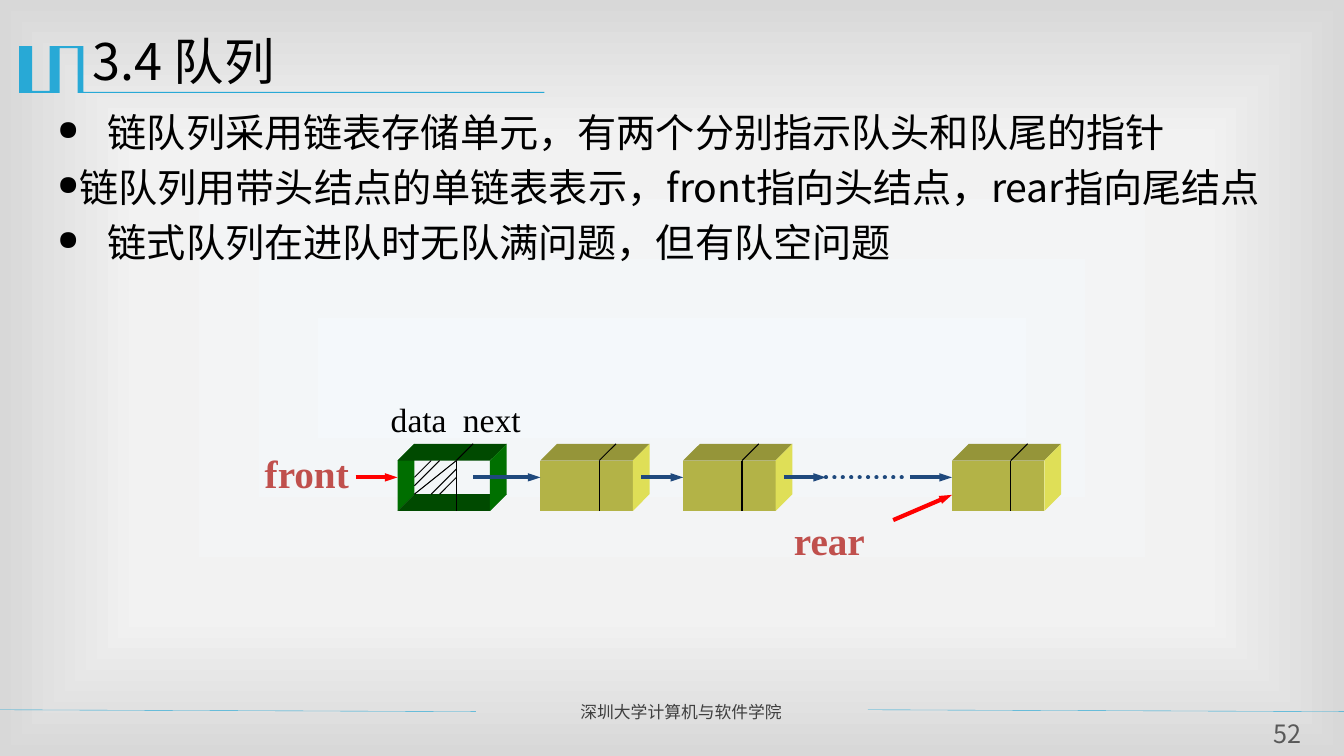
from lxml.etree import SubElement
from pptx import Presentation
from pptx.dml.color import RGBColor
from pptx.enum.dml import MSO_LINE
from pptx.enum.shapes import MSO_CONNECTOR
from pptx.enum.text import MSO_ANCHOR, MSO_AUTO_SIZE, PP_ALIGN
from pptx.oxml import parse_xml
from pptx.oxml.ns import nsdecls, qn
from pptx.util import Pt

SANS, SERIF = "Noto Sans CJK SC", "Times New Roman"
BLACK, CYAN, RED, NAVY, LABEL_RED = "000000", "28A9D6", "FF0000", "1F497D", "C0504D"
NODE_LEFTS = [284, 386, 488, 680]
NODE_TOP, NODE_WIDTH, NODE_HEIGHT, DEPTH, DIVIDER = 329, 66, 36, 12, 42
ARROW_Y = NODE_TOP + DEPTH
BULLETS = [
    ("链队列采用链表存储单元，有两个分别指示队头和队尾的指针", 36),
    ("链队列用带头结点的单链表表示，front指向头结点，rear指向尾结点", 0),
    ("链式队列在进队时无队满问题，但有队空问题", 36),
]


def color(value):
    """Turn a hex string into a colour."""
    return RGBColor.from_string(value)


def paint_background(slide):
    """Fill the slide with a rectangular gradient."""
    fill = slide.background.fill
    fill.solid()
    solid = slide._element.find(".//" + qn("a:solidFill"))
    stops = "".join(
        f'<a:gs pos="{position}000"><a:srgbClr val="{value}"/></a:gs>'
        for position, value in [(0, "F4F8FB"), (63, "F2F2F2"), (100, "D8D8D8")]
    )
    gradient = parse_xml(
        f'<a:gradFill {nsdecls("a")} rotWithShape="1"><a:gsLst>{stops}</a:gsLst>'
        '<a:path path="rect"><a:fillToRect l="50000" t="50000" r="50000" b="50000"/>'
        "</a:path></a:gradFill>"
    )
    solid.getparent().replace(solid, gradient)


def style_paragraph(paragraph, size, value, name=SANS, bold=False):
    """Set the font of a whole paragraph."""
    font = paragraph.font
    font.size, font.name, font.bold = Pt(size), name, bold
    font.color.rgb = color(value)
    properties = paragraph._p.pPr.find(qn("a:defRPr"))
    SubElement(properties, qn("a:ea"), typeface=name)


def add_text(slide, box, text, size, value, name=SANS, bold=False,
             anchor=MSO_ANCHOR.TOP, tab=None, align=PP_ALIGN.LEFT):
    """Add a one-paragraph text box."""
    frame = slide.shapes.add_textbox(*map(Pt, box)).text_frame
    frame.word_wrap, frame.vertical_anchor = True, anchor
    paragraph = frame.paragraphs[0]
    paragraph.text, paragraph.alignment = text, align
    if tab:
        tabs = SubElement(paragraph._p.get_or_add_pPr(), qn("a:tabLst"))
        SubElement(tabs, qn("a:tab"), pos=str(Pt(tab)), algn="l")
    style_paragraph(paragraph, size, value, name, bold)


def add_title(slide, text):
    """Place and format the title placeholder."""
    title = slide.shapes.title
    title.left, title.top, title.width, title.height = map(Pt, (59, 15.8, 864, 62.6))
    frame = title.text_frame
    frame.text = text
    frame.word_wrap, frame.vertical_anchor = True, MSO_ANCHOR.TOP
    frame.auto_size = MSO_AUTO_SIZE.NONE
    paragraph = frame.paragraphs[0]
    paragraph.alignment, paragraph.line_spacing = PP_ALIGN.LEFT, Pt(45)
    style_paragraph(paragraph, 36, BLACK)


def add_bullets(slide, items):
    """Add the bulleted statements, each with its own hanging indent."""
    frame = slide.shapes.add_textbox(Pt(34), Pt(73.5), Pt(873), Pt(405)).text_frame
    frame.word_wrap = True
    for index, (text, hanging) in enumerate(items):
        paragraph = frame.add_paragraph() if index else frame.paragraphs[0]
        paragraph.text = text
        paragraph.line_spacing = Pt(34.2)
        paragraph.space_before = Pt(5 if index else 0)
        properties = paragraph._p.get_or_add_pPr()
        properties.set("marL", str(Pt(hanging)))
        properties.set("indent", str(Pt(-hanging)))
        SubElement(properties, qn("a:buSzPct"), val="70000")
        SubElement(properties, qn("a:buChar"), char="●")
        style_paragraph(paragraph, 28, BLACK)


def add_polygon(slide, points, value):
    """Add a filled outline without a border."""
    start, *others = [(Pt(x), Pt(y)) for x, y in points]
    builder = slide.shapes.build_freeform(*start, scale=1.0)
    builder.add_line_segments(others, close=True)
    shape = builder.convert_to_shape()
    shape.shadow.inherit = False
    shape.fill.solid()
    shape.fill.fore_color.rgb = color(value)
    shape.line.fill.background()


def add_line(slide, start, end, value=BLACK, width=0.75, arrow=False, dotted=False):
    """Add a straight line, with an arrowhead or round dots if asked."""
    connector = slide.shapes.add_connector(
        MSO_CONNECTOR.STRAIGHT, *map(Pt, (*start, *end)))
    connector.line.color.rgb = color(value)
    connector.line.width = Pt(width)
    outline = connector.line._get_or_add_ln()
    if dotted:
        connector.line.dash_style = MSO_LINE.ROUND_DOT
        outline.set("cap", "rnd")
    if arrow:
        SubElement(outline, qn("a:tailEnd"), type="triangle", w="sm", len="med")
    SubElement(connector._element.spPr, qn("a:effectLst"))


def add_node(slide, left, hollow=False):
    """Add a box node with depth and the line between its two fields."""
    right, bottom = left + NODE_WIDTH, NODE_TOP + NODE_HEIGHT
    front = [(left, NODE_TOP), (right, NODE_TOP), (right, bottom), (left, bottom)]
    back = [(x + DEPTH, y - DEPTH) for x, y in front]

    def wall(first, second):
        return [front[first], back[first], back[second], front[second]]

    if hollow:
        add_polygon(slide, wall(3, 0), "006E00")
        add_polygon(slide, wall(2, 3), "004A00")
    else:
        add_polygon(slide, front, "B3B347")
    add_polygon(slide, wall(0, 1), "004A00" if hollow else "959539")
    add_polygon(slide, wall(1, 2), "007000" if hollow else "DFDF57")
    middle = left + DIVIDER
    add_line(slide, (middle, NODE_TOP), (middle, bottom))
    add_line(slide, (middle, NODE_TOP), (middle + DEPTH, NODE_TOP - DEPTH))


def add_hatching(slide):
    """Hatch the unused data field of the head node."""
    left, right = NODE_LEFTS[0] + DEPTH, NODE_LEFTS[0] + DIVIDER
    top, bottom = NODE_TOP, NODE_TOP + NODE_HEIGHT - DEPTH
    add_line(slide, (right, top), (left, bottom))
    for offset in (12, 18):
        add_line(slide, (left + offset, top), (left, top + offset))
        add_line(slide, (right, bottom - offset), (right - offset, bottom))


def add_queue(slide):
    """Draw the linked queue with its pointers."""
    add_text(slide, (272, 281.5, 132, 36), "data\tnext", 24, BLACK, SERIF, tab=51.5)
    for index, left in enumerate(NODE_LEFTS):
        add_node(slide, left, hollow=index == 0)
    add_hatching(slide)
    for start, end in [(338, 386), (458, 488), (560, 590), (650, 680)]:
        add_line(slide, (start, ARROW_Y), (end, ARROW_Y), NAVY, 3, arrow=True)
    add_line(slide, (590, ARROW_Y), (650, ARROW_Y), NAVY, 3, dotted=True)
    add_line(slide, (254, ARROW_Y), (284, ARROW_Y), RED, 3, arrow=True)
    add_line(slide, (638, 371.5), (680, 353.5), RED, 3, arrow=True)
    for text, left, top in [("front", 182, 317.5), ("rear", 560, 365)]:
        add_text(slide, (left, top, 84, 41), text, 28, LABEL_RED, SERIF, bold=True)


def add_frame(slide):
    """Draw the title ornament, the footer rules and the footer texts."""
    add_polygon(slide, [
        (59, 33), (59.6, 33), (59.6, 65.6), (388.8, 65.6), (388.8, 66.4), (55.4, 66.4),
        (55.4, 34.4), (42.6, 34.4), (42.6, 66.4), (13.6, 66.4), (13.6, 33), (23, 33),
        (23, 65), (35.4, 65), (35.4, 33)], CYAN)
    for left in (0, 620):
        add_line(slide, (left, 507), (left + 340, 508.3), CYAN, 0.25)
    add_text(slide, (407.5, 497.5, 205, 22), "深圳大学计算机与软件学院", 12, "3F3F3F",
             anchor=MSO_ANCHOR.MIDDLE)
    add_text(slide, (898.5, 513, 43, 22), "52", 18, "595959",
             anchor=MSO_ANCHOR.MIDDLE, align=PP_ALIGN.CENTER)


def main():
    """Build the slide and save it."""
    presentation = Presentation()
    presentation.slide_width, presentation.slide_height = Pt(960), Pt(540)
    slide = presentation.slides.add_slide(presentation.slide_layouts[5])
    paint_background(slide)
    add_frame(slide)
    add_bullets(slide, BULLETS)
    add_title(slide, "3.4 队列")
    add_queue(slide)
    presentation.save("out.pptx")


if __name__ == "__main__":
    main()
